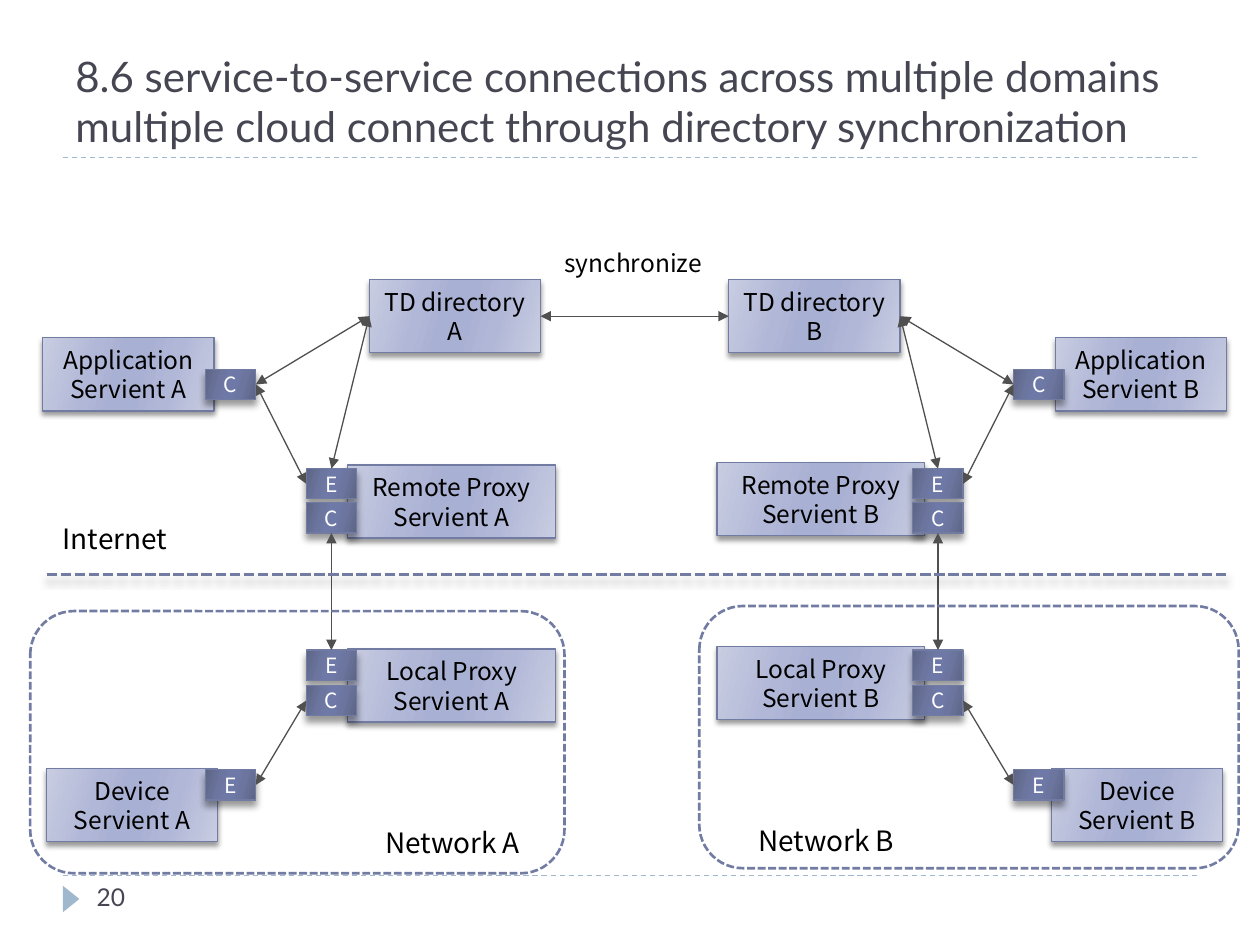
"""Build the slide on service-to-service connections across two mirrored domains."""
import lxml.etree
import pptx
import pptx.dml.color
import pptx.enum.dml
import pptx.enum.shapes
import pptx.enum.text
import pptx.oxml.ns
import pptx.util

Pt = pptx.util.Pt
SHAPE = pptx.enum.shapes.MSO_SHAPE
ALIGN = pptx.enum.text.PP_ALIGN
ANCHOR = pptx.enum.text.MSO_ANCHOR
DASH = pptx.enum.dml.MSO_LINE.DASH
SYSTEM_DASH = pptx.enum.dml.MSO_LINE.SQUARE_DOT
qn = pptx.oxml.ns.qn

THEME = dict(
    title_font="Lato", body_font="Noto Sans CJK JP",
    title_size=24, label_size=16, box_size=14, badge_size=12,
    title="464653", text="000000", light="FFFFFF", accent="9FB8CD",
    outline="727CA3", link="505050",
    box_fill=((0, "C9CDE2"), (30, "B1B7D7"), (45, "A8B0D3"), (55, "A8B0D3"), (73, "B1B7D7"), (100, "C9CDE2")),
    badge_fill=((0, "5D6585"), (30, "6B759E"), (45, "6E79A7"), (55, "6E79A7"), (73, "6B759E"), (100, "5D6585")),
    box_shadow=(3, 2), badge_shadow=(4, 3.4),
)

TITLE = ("8.6 service-to-service connections across multiple domains",
         "multiple cloud connect through directory synchronization")
DOMAINS = ("A", "B")
MIRROR_SPAN = 725.4
BOX_HEIGHT, BADGE_WIDTH, BADGE_HEIGHT = 41.8, 28.8, 17.3
# name: left, top, width in domain A, then the offset of its mirrored twin
BOXES = {
    "Remote Proxy Servient": (198.7, 265.7, 118.8, 1.8, -1.4),
    "Local Proxy Servient": (198.7, 370.8, 118.8, 1.8, -1.4),
    "Device Servient": (26.6, 439.2, 97.9, 0, 0),
    "Application Servient": (24.5, 193, 97.9, 0, 0),
    "TD directory": (211, 159.8, 97.9, 0, 0),
}
BADGES = {
    "application": ("C", 117.4, 211),
    "remote in": ("E", 175, 267.8),
    "remote out": ("C", 175, 287.3),
    "local in": ("E", 175, 371.5),
    "local out": ("C", 175, 391.7),
    "device": ("E", 117.4, 439.9),
}
TOP, LEFT, BOTTOM, RIGHT = range(4)
MIRRORED_SIDE = {TOP: TOP, LEFT: RIGHT, BOTTOM: BOTTOM, RIGHT: LEFT}
LINKS = (
    ("application", RIGHT, "remote in", LEFT),
    ("device", RIGHT, "local out", LEFT),
    ("remote out", BOTTOM, "local in", TOP),
    ("application", RIGHT, "TD directory", LEFT),
    ("remote in", TOP, "TD directory", LEFT),
)
NETWORKS = ((17.3, 349.2, 305.3, 149.8), (399.6, 346.3, 308.2, 149.8))
LABELS = (
    ("Internet", 28.8, 294.5, 78.5, 26.6, "label_size"),
    ("Network A", 213.1, 468, 97.2, 26.6, "label_size"),
    ("Network B", 426.2, 467.3, 97.2, 26.6, "label_size"),
    ("synchronize", 315.4, 138.2, 95.8, 24.5, "box_size"),
)


def rgb(name):
    return pptx.dml.color.RGBColor.from_string(THEME[name])


def write(shape, *lines, size="box_size", color="text", font="body_font",
          align=ALIGN.LEFT, anchor=ANCHOR.TOP, wrap=True, side_inset=7.2):
    frame = shape.text_frame
    frame.word_wrap = wrap
    frame.vertical_anchor = anchor
    frame.margin_left = frame.margin_right = Pt(side_inset)
    para = frame.paragraphs[0]
    para.alignment = align
    for index, line in enumerate(lines):
        if index:
            para.add_line_break()
        span = para.add_run()
        span.text = line
        span.font.name = THEME[font]
        span.font.size = Pt(THEME[size])
        span.font.color.rgb = rgb(color)


def add_text(page, bounds, *lines, **style):
    box = page.shapes.add_textbox(*map(Pt, bounds))
    write(box, *lines, **style)
    return box


def set_line(shape, color, width, dash=None):
    shape.line.color.rgb = rgb(color)
    shape.line.width = Pt(width)
    if dash:
        shape.line.dash_style = dash


def add_shadow(effects, blur, distance):
    shadow = lxml.etree.SubElement(effects, qn("a:outerShdw"), blurRad=str(Pt(blur)),
                                   dist=str(Pt(distance)), dir="5400000", rotWithShape="0")
    color = lxml.etree.SubElement(shadow, qn("a:srgbClr"), val="000000")
    lxml.etree.SubElement(color, qn("a:alpha"), val="40000")


def add_block(page, bounds, text, kind, **style):
    block = page.shapes.add_shape(SHAPE.RECTANGLE, *map(Pt, bounds))
    block.fill.gradient()
    block.fill.gradient_angle = 344
    stops = block.element.spPr.find(qn("a:gradFill")).find(qn("a:gsLst"))
    for stop in list(stops):
        stops.remove(stop)
    for position, color in THEME[kind + "_fill"]:
        stop = lxml.etree.SubElement(stops, qn("a:gs"), pos=str(position * 1000))
        lxml.etree.SubElement(stop, qn("a:srgbClr"), val=color)
    set_line(block, "outline", 0.75)
    block.shadow.inherit = False
    add_shadow(block.element.spPr.find(qn("a:effectLst")), *THEME[kind + "_shadow"])
    write(block, text, size=kind + "_size", align=ALIGN.CENTER, anchor=ANCHOR.MIDDLE, **style)
    return block


def add_line(page, ends, color, width, dash=None):
    line = page.shapes.add_connector(pptx.enum.shapes.MSO_CONNECTOR.STRAIGHT, *map(Pt, ends))
    set_line(line, color, width, dash)
    return line, lxml.etree.SubElement(line.element.spPr, qn("a:effectLst"))


def add_link(page, start, start_side, end, end_side):
    link, _ = add_line(page, (0, 0, 0, 0), "link", 0.75)
    link.begin_connect(start, start_side)
    link.end_connect(end, end_side)
    for tag in ("a:headEnd", "a:tailEnd"):
        lxml.etree.SubElement(link.line._get_or_add_ln(), qn(tag), type="triangle")


def add_domain(page, domain):
    mirrored = domain == "B"
    blocks = {}
    for name, (left, top, width, shift, lift) in BOXES.items():
        if mirrored:
            left, top = MIRROR_SPAN - left - width + shift, top + lift
        inset = 2.9 if "Proxy" in name else 7.2
        blocks[name] = add_block(page, (left, top, width, BOX_HEIGHT), f"{name} {domain}",
                                 "box", side_inset=inset)
    for name, (letter, left, top) in BADGES.items():
        if mirrored:
            left = MIRROR_SPAN - left - BADGE_WIDTH
        blocks[name] = add_block(page, (left, top, BADGE_WIDTH, BADGE_HEIGHT), letter,
                                 "badge", color="light", wrap=False)
    for start, start_side, end, end_side in LINKS:
        if mirrored:
            start_side, end_side = MIRRORED_SIDE[start_side], MIRRORED_SIDE[end_side]
        add_link(page, blocks[start], start_side, blocks[end], end_side)
    return blocks["TD directory"]


def add_frame(page):
    for height in (500.4, 90):
        add_line(page, (36, height, 684, height), "accent", 0.75, DASH)
    marker = page.shapes.add_shape(SHAPE.ISOSCELES_TRIANGLE, Pt(33.1), Pt(509), Pt(15.1), Pt(9.4))
    marker.rotation = 90
    marker.fill.solid()
    marker.fill.fore_color.rgb = rgb("accent")
    marker.line.fill.background()
    marker.shadow.inherit = False
    add_text(page, (36, 18, 648, 72), *TITLE, size="title_size", color="title",
             font="title_font", anchor=ANCHOR.BOTTOM)
    add_text(page, (48.2, 500.4, 156.2, 28.8), "20", color="title", font="title_font")


def main():
    deck = pptx.Presentation()
    deck.slide_width, deck.slide_height = Pt(720), Pt(540)
    page = deck.slides.add_slide(deck.slide_layouts[6])
    add_frame(page)
    first, second = [add_domain(page, domain) for domain in DOMAINS]
    add_link(page, first, RIGHT, second, LEFT)
    _, effects = add_line(page, (26.6, 328.3, 700.6, 328.3), "outline", 2, SYSTEM_DASH)
    add_shadow(effects, *THEME["badge_shadow"])
    for bounds in NETWORKS:
        network = page.shapes.add_shape(SHAPE.ROUNDED_RECTANGLE, *map(Pt, bounds))
        network.fill.background()
        set_line(network, "outline", 1.5, SYSTEM_DASH)
        network.shadow.inherit = False
    for text, left, top, width, height, size in LABELS:
        label = add_text(page, (left, top, width, height), text, size=size, wrap=False)
        label.text_frame.auto_size = pptx.enum.text.MSO_AUTO_SIZE.SHAPE_TO_FIT_TEXT
    deck.save("out.pptx")


if __name__ == "__main__":
    main()
